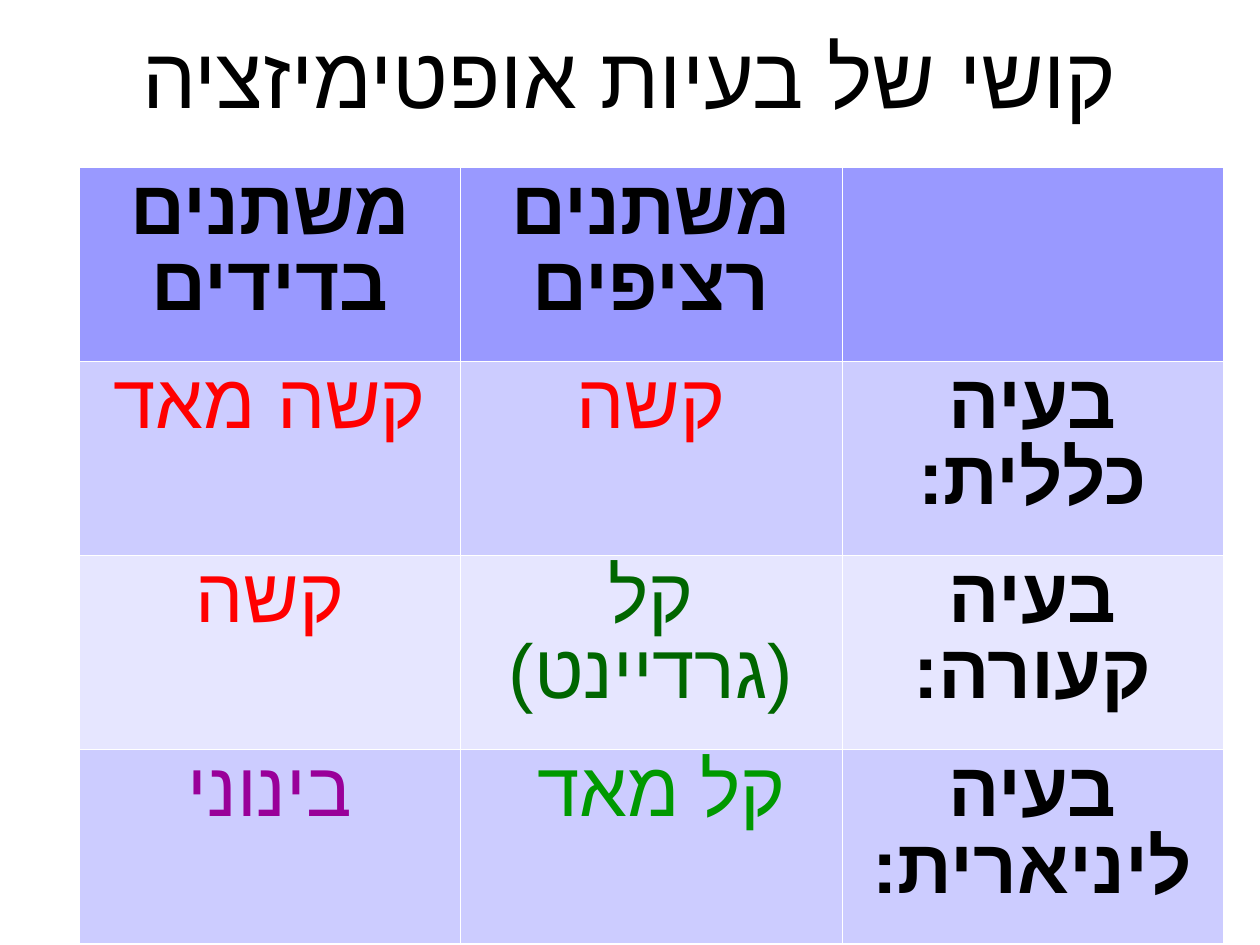
import pptx
import pptx.util
import pptx.dml.color
import pptx.enum.lang
import pptx.enum.text
import pptx.oxml
import pptx.oxml.ns

Pt = pptx.util.Pt
RGBColor = pptx.dml.color.RGBColor

BLACK = RGBColor(0x00, 0x00, 0x00)
RED = RGBColor(0xFF, 0x00, 0x00)
DARK_GREEN = RGBColor(0x00, 0x66, 0x00)
GREEN = RGBColor(0x00, 0x99, 0x00)
PURPLE = RGBColor(0x99, 0x00, 0x99)
HEADER_FILL = RGBColor(0x99, 0x99, 0xFF)
DARK_BAND = RGBColor(0xCC, 0xCC, 0xFF)
LIGHT_BAND = RGBColor(0xE6, 0xE6, 0xFF)
WHITE = RGBColor(0xFF, 0xFF, 0xFF)

FONT = "Arial"
SLIDE_WIDTH = 793.7
SLIDE_HEIGHT = 595.28
COLUMN_WIDTH = 240.1
ROW_HEIGHT = 122.3

# Each row: fill, then (text, colour, bold) from left to right
ROWS = [
    (HEADER_FILL, [("משתנים בדידים", BLACK, True),
                   ("משתנים רציפים", BLACK, True),
                   ("", BLACK, True)]),
    (DARK_BAND, [("קשה מאד", RED, False),
                 ("קשה", RED, False),
                 ("בעיה כללית:", BLACK, True)]),
    (LIGHT_BAND, [("קשה", RED, False),
                  ("קל (גרדיינט)", DARK_GREEN, False),
                  ("בעיה קעורה:", BLACK, True)]),
    (DARK_BAND, [("בינוני", PURPLE, False),
                 ("קל מאד ", GREEN, False),
                 ("בעיה ליניארית:", BLACK, True)]),
]


def write_hebrew(text_frame, text, size, color, bold=False, line_spacing=None):
    """Write one centred right-to-left paragraph."""
    text_frame.text = text
    paragraph = text_frame.paragraphs[0]
    paragraph.alignment = pptx.enum.text.PP_ALIGN.CENTER
    paragraph.line_spacing = line_spacing
    paragraph._p.get_or_add_pPr().set("rtl", "1")
    for run in paragraph.runs:
        run.font.name = FONT
        run.font.size = Pt(size)
        run.font.bold = bold
        run.font.color.rgb = color
        run.font.language_id = pptx.enum.lang.MSO_LANGUAGE_ID.HEBREW
        complex_font = pptx.oxml.parse_xml(
            f'<a:cs {pptx.oxml.ns.nsdecls("a")} typeface="{FONT}"/>')
        run._r.get_or_add_rPr().append(complex_font)


def add_borders(cell, color, width):
    properties = cell._tc.get_or_add_tcPr()
    for side in ("lnL", "lnR", "lnT", "lnB"):
        properties.append(pptx.oxml.parse_xml(
            f'<a:{side} {pptx.oxml.ns.nsdecls("a")} w="{Pt(width)}">'
            f'<a:solidFill><a:srgbClr val="{color}"/></a:solidFill></a:{side}>'))


def add_title(slide, text):
    box = slide.shapes.add_textbox(Pt(0), Pt(13.7), Pt(SLIDE_WIDTH), Pt(65.5))
    frame = box.text_frame
    frame.word_wrap = True
    frame.auto_size = pptx.enum.text.MSO_AUTO_SIZE.SHAPE_TO_FIT_TEXT
    frame.vertical_anchor = pptx.enum.text.MSO_ANCHOR.MIDDLE
    frame.margin_left = frame.margin_right = Pt(0)
    frame.margin_top = frame.margin_bottom = Pt(0)
    write_hebrew(frame, text, 54, BLACK)


def add_difficulty_table(slide):
    column_count = len(ROWS[0][1])
    table = slide.shapes.add_table(
        len(ROWS), column_count, Pt(50), Pt(105.2),
        Pt(COLUMN_WIDTH * column_count), Pt(ROW_HEIGHT * len(ROWS))).table
    for column in table.columns:
        column.width = Pt(COLUMN_WIDTH)
    for row, (fill, entries) in zip(table.rows, ROWS):
        row.height = Pt(ROW_HEIGHT)
        for cell, (text, color, bold) in zip(row.cells, entries):
            add_borders(cell, WHITE, 0.06)
            cell.fill.solid()
            cell.fill.fore_color.rgb = fill
            write_hebrew(cell.text_frame, text, 48, color, bold, 0.9)


def main():
    presentation = pptx.Presentation()
    presentation.slide_width = Pt(SLIDE_WIDTH)
    presentation.slide_height = Pt(SLIDE_HEIGHT)
    slide = presentation.slides.add_slide(presentation.slide_layouts[6])

    # Heading
    add_title(slide, "קושי של בעיות אופטימיזציה")

    # Difficulty by problem type and variable type
    add_difficulty_table(slide)

    presentation.save("out.pptx")


if __name__ == "__main__":
    main()
